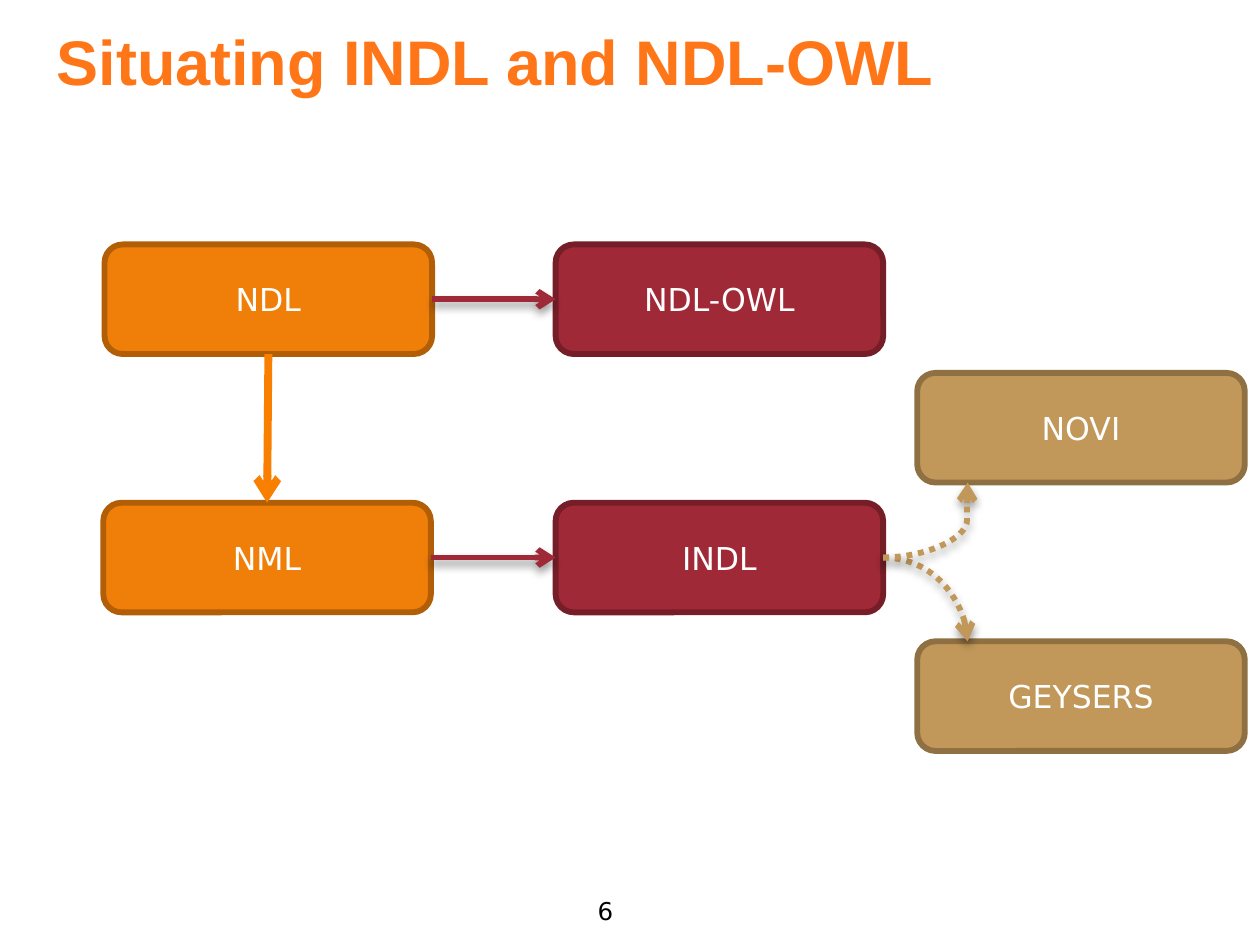
"""Build the slide that situates INDL and NDL-OWL among related models."""
from lxml import etree
from pptx import Presentation
from pptx.dml.color import RGBColor
from pptx.enum.dml import MSO_LINE
from pptx.enum.shapes import MSO_CONNECTOR, MSO_SHAPE
from pptx.enum.text import MSO_ANCHOR, MSO_AUTO_SIZE, PP_ALIGN
from pptx.oxml.ns import qn
from pptx.util import Inches, Pt

ROUNDED = MSO_SHAPE.ROUNDED_RECTANGLE
STRAIGHT, CURVE = MSO_CONNECTOR.STRAIGHT, MSO_CONNECTOR.CURVE
DOTTED = MSO_LINE.ROUND_DOT
MIDDLE, BOTTOM = MSO_ANCHOR.MIDDLE, MSO_ANCHOR.BOTTOM
LEFT, CENTER = PP_ALIGN.LEFT, PP_ALIGN.CENTER
NO_FIT = MSO_AUTO_SIZE.NONE
SIDE_TOP, SIDE_LEFT, SIDE_BOTTOM, SIDE_RIGHT = range(4)

THEME = {
    "title": {"name": "Arial", "size": 36, "color": "FF7619", "bold": True},
    "box": {"name": "DejaVu Sans", "size": 18, "color": "FFFFFF", "bold": False},
    "number": {"name": "DejaVu Sans", "size": 14, "color": "000000", "bold": False},
    "orange": ("F07F09", "B25E07"),
    "red": ("9F2936", "761E28"),
    "tan": ("C19859", "8F7042"),
    "down_arrow": "F97F00",
    "shadow": "000000",
    "line": 3.35,
    "heavy_line": 4.5,
}

TITLE = "Situating INDL and NDL-OWL"
PAGE = "6"
BOX_W, BOX_H = 2.6, 0.87
BOXES = {
    "NDL": (0.83, 1.94, "orange"),
    "NML": (0.82, 3.99, "orange"),
    "NDL-OWL": (4.41, 1.94, "red"),
    "INDL": (4.41, 3.99, "red"),
    "NOVI": (7.28, 2.96, "tan"),
    "GEYSERS": (7.28, 5.09, "tan"),
}
RED, TAN = THEME["red"][0], THEME["tan"][0]
ARROWS = [
    ("NDL", SIDE_RIGHT, "NDL-OWL", SIDE_LEFT, RED, THEME["line"], True),
    ("NML", SIDE_RIGHT, "INDL", SIDE_LEFT, RED, THEME["line"], True),
    ("NDL", SIDE_BOTTOM, "NML", SIDE_TOP, THEME["down_arrow"], THEME["heavy_line"], False),
]
CURVE_X = 7.68
CURVES = [
    ("INDL", "GEYSERS", 0, "curvedConnector2", None),
    ("INDL", "NOVI", BOX_H, "curvedConnector3", 99300),
]


def write(tf, text, style, align, anchor):
    tf.word_wrap = True
    tf.auto_size = NO_FIT
    tf.vertical_anchor = anchor
    p = tf.paragraphs[0]
    p.alignment = align
    r = p.add_run()
    r.text = text
    look = THEME[style]
    for key, value in {"name": look["name"], "size": Pt(look["size"]), "bold": look["bold"]}.items():
        setattr(r.font, key, value)
    r.font.color.rgb = RGBColor.from_string(look["color"])


def add_box(slide, text, x, y, palette):
    s = slide.shapes.add_shape(ROUNDED, *map(Inches, (x, y, BOX_W, BOX_H)))
    s.shadow.inherit = False
    fill, line = THEME[palette]
    s.fill.solid()
    s.fill.fore_color.rgb = RGBColor.from_string(fill)
    s.line.color.rgb = RGBColor.from_string(line)
    s.line.width = Pt(THEME["line"])
    write(s.text_frame, text, "box", CENTER, MIDDLE)
    return s


def add_arrow(slide, kind, start, end, color, width, shadow):
    c = slide.shapes.add_connector(kind, *map(Inches, (*start, *end)))
    c.line.color.rgb = RGBColor.from_string(color)
    c.line.width = Pt(width)
    etree.SubElement(c.line._get_or_add_ln(), qn("a:tailEnd"), type="arrow")
    effects = etree.SubElement(c._element.spPr, qn("a:effectLst"))
    if shadow:
        cast = etree.SubElement(effects, qn("a:outerShdw"), blurRad=str(Pt(5.2)),
                                dist=str(Pt(3)), dir="5400000", rotWithShape="0")
        tint = etree.SubElement(cast, qn("a:srgbClr"), val=THEME["shadow"])
        etree.SubElement(tint, qn("a:alpha"), val="40000")
    return c


def bend(c, preset, adjust):
    c.line.dash_style = DOTTED
    geom = c._element.spPr.find(qn("a:prstGeom"))
    geom.set("prst", preset)
    if adjust is not None:
        guides = geom.find(qn("a:avLst"))
        etree.SubElement(guides, qn("a:gd"), name="adj1", fmla=f"val {adjust}")


def side_point(name, side):
    x, y, _ = BOXES[name]
    dx, dy = [(0.5, 0), (0, 0.5), (0.5, 1), (1, 0.5)][side]
    return x + dx * BOX_W, y + dy * BOX_H


def main():
    prs = Presentation()
    prs.slide_width, prs.slide_height = Inches(10), Inches(7.5)
    slide = prs.slides.add_slide(prs.slide_layouts[5])

    title = slide.shapes.title
    title.left, title.top, title.width, title.height = map(Inches, (0.35, 0.03, 9.37, 0.8))
    write(title.text_frame, TITLE, "title", LEFT, BOTTOM)

    number = slide.shapes.add_textbox(*map(Inches, (4.37, 7.06, 0.87, 0.34)))
    write(number.text_frame, PAGE, "number", CENTER, MSO_ANCHOR.TOP)

    boxes = {name: add_box(slide, name, *place) for name, place in BOXES.items()}

    for source, out, target, into, color, width, shadow in ARROWS:
        c = add_arrow(slide, STRAIGHT, side_point(source, out), side_point(target, into),
                      color, width, shadow)
        c.begin_connect(boxes[source], out)
        c.end_connect(boxes[target], into)

    for source, target, drop, preset, adjust in CURVES:
        end = (CURVE_X, BOXES[target][1] + drop)
        c = add_arrow(slide, CURVE, side_point(source, SIDE_RIGHT), end, TAN, THEME["line"], True)
        bend(c, preset, adjust)

    prs.save("out.pptx")


if __name__ == "__main__":
    main()
